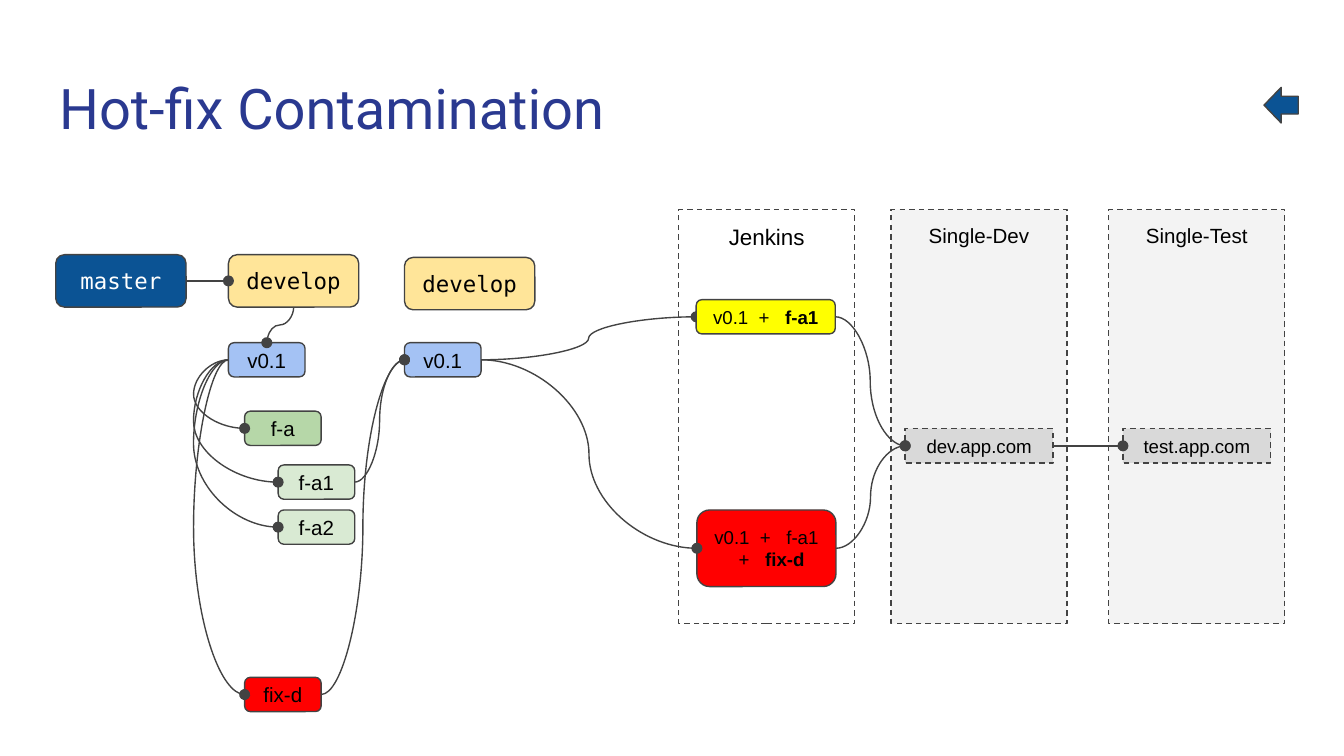
import pptx
import pptx.dml.color
import pptx.enum.dml
import pptx.enum.shapes
import pptx.enum.text
import pptx.oxml
import pptx.oxml.ns
import pptx.util

PX = 4572
INK = "434343"
NAVY = "0B5394"
SHAPE = pptx.enum.shapes.MSO_SHAPE
ALIGN = pptx.enum.text.PP_ALIGN
ANCHOR = pptx.enum.text.MSO_ANCHOR
TOP, LEFT, BOTTOM, RIGHT = range(4)


def px(*lengths):
    return [pptx.util.Emu(length * PX) for length in lengths]


def paint(color_format, color):
    color_format.rgb = pptx.dml.color.RGBColor.from_string(color)


def add_child(parent, tag, **attributes):
    child = pptx.oxml.parse_xml(f"<a:{tag} {pptx.oxml.ns.nsdecls('a')}/>")
    for name, value in attributes.items():
        child.set(name, value)
    parent.append(child)


def add_text(para, text, size=11, font="Arial", color="000000", bold=False, spacing=0):
    span = para.add_run()
    span.text = text
    span.font.size = pptx.util.Pt(size)
    span.font.name = font
    span.font.bold = bold
    paint(span.font.color, color)
    if spacing:
        span.font._element.set("spc", str(spacing))


def frame_text(frame, anchor):
    frame.word_wrap = True
    frame.auto_size = pptx.enum.text.MSO_AUTO_SIZE.NONE
    frame.vertical_anchor = anchor
    inset = px(20)[0]
    frame.margin_left = frame.margin_top = inset
    frame.margin_right = frame.margin_bottom = inset


def add_box(page, box, fill=None, kind=SHAPE.ROUNDED_RECTANGLE, dashed=False,
            anchor=ANCHOR.MIDDLE):
    shape = page.shapes.add_shape(kind, *px(*box))
    shape.shadow.inherit = False
    if fill:
        shape.fill.solid()
        paint(shape.fill.fore_color, fill)
    else:
        shape.fill.background()
    paint(shape.line.color, INK)
    shape.line.width = pptx.util.Pt(0.75)
    if dashed:
        shape.line.dash_style = pptx.enum.dml.MSO_LINE.DASH
    frame_text(shape.text_frame, anchor)
    shape.text_frame.paragraphs[0].alignment = ALIGN.CENTER
    return shape


def add_label_box(page, box, text, fill=None, size=11, font="Arial", color="000000", **style):
    shape = add_box(page, box, fill, **style)
    add_text(shape.text_frame.paragraphs[0], text, size=size, font=font, color=color)
    return shape


def add_branch(page, left, top, text, fill, color="000000"):
    return add_label_box(page, (left, top, 194, 78), text, fill, size=12,
                         font="DejaVu Sans Mono", color=color)


def add_version(page, left, top, text, fill):
    return add_label_box(page, (left, top, 114, 51), text, fill)


def join(page, source, target, start=RIGHT, end=LEFT, loop=0):
    curve = page.shapes.add_connector(pptx.enum.shapes.MSO_CONNECTOR.CURVE, 0, 0, 0, 0)
    curve.begin_connect(source, start)
    curve.end_connect(target, end)
    paint(curve.line.color, INK)
    curve.line.width = pptx.util.Pt(0.75)
    properties = curve._element.spPr
    add_child(curve.line._get_or_add_ln(), "tailEnd", type="oval")
    add_child(properties, "effectLst")
    if loop:
        values = properties.find(".//" + pptx.oxml.ns.qn("a:avLst"))
        ratio = round(-100000 * loop * PX / curve.width)
        add_child(values, "gd", name="adj1", fmla=f"val {ratio}")
    if start == BOTTOM:
        turn_down(curve)
    return curve


def turn_down(curve):
    center_x = curve.left + curve.width // 2
    center_y = curve.top + curve.height // 2
    width, height = curve.height, curve.width
    curve.left, curve.top = center_x - width // 2, center_y - height // 2
    curve.width, curve.height = width, height
    transform = curve._element.spPr.find(pptx.oxml.ns.qn("a:xfrm"))
    transform.attrib.pop("flipH", None)
    transform.set("rot", "5400000")


def draw_title(page, box, text):
    title = page.shapes.title
    title.left, title.top, title.width, title.height = px(*box)
    frame_text(title.text_frame, ANCHOR.TOP)
    para = title.text_frame.paragraphs[0]
    para.alignment = ALIGN.LEFT
    add_text(para, text, size=30, font="Roboto", color="2A3990")


def draw_branches(page, left, top):
    master = add_branch(page, left, top, "master", NAVY, color="FFFFFF")
    develop = add_branch(page, left + 257, top, "develop", "FFE599")
    version = add_version(page, left + 257, top + 131, "v0.1", "A4C2F4")
    join(page, master, develop)
    join(page, develop, version, start=BOTTOM, end=TOP)
    features = {}
    for text, x, y, fill in (
        ("f-a", 281, 233, "B6D7A8"),
        ("f-a1", 331, 313, "D9EAD3"),
        ("f-a2", 331, 380, "D9EAD3"),
        ("fix-d", 281, 629, "FF0000"),
    ):
        features[text] = add_version(page, left + x, top + y, text, fill)
        join(page, version, features[text], start=LEFT, loop=52)
    return features


def draw_merge(page, left, top, sources):
    version = add_version(page, left, top + 127, "v0.1", "A4C2F4")
    add_branch(page, left, top, "develop", "FFE599")
    for source in sources:
        join(page, source, version)
    return version


def draw_column(page, box, text, size=11, fill=None):
    add_label_box(page, box, text, fill, size=size, kind=SHAPE.RECTANGLE,
                  dashed=True, anchor=ANCHOR.TOP)


def draw_builds(page, box, version):
    left, top = box[:2]
    draw_column(page, box, "Jenkins", size=12)

    clean = add_box(page, (left + 26, top + 134, 207, 51), "FFFF00")
    para = clean.text_frame.paragraphs[0]
    add_text(para, "v0.1", size=10)
    add_text(para, " + ", size=10, spacing=280)
    add_text(para, "f-a1", size=10, bold=True)
    clean._element.addprevious(join(page, version, clean)._element)

    mixed = add_box(page, (left + 27, top + 447, 207, 114), "FF0000")
    para = mixed.text_frame.paragraphs[0]
    add_text(para, "v0.1", size=10)
    add_text(para, " + ", size=10, spacing=280)
    add_text(para, "f-a1", size=10)
    para.add_line_break()
    add_text(para, " + ", size=10, spacing=280)
    add_text(para, "fix-d", size=10, bold=True)
    join(page, version, mixed)
    return clean, mixed


def draw_environment(page, box, text, address, sources):
    left, top = box[:2]
    draw_column(page, box, text, fill="F3F3F3")
    host = add_label_box(page, (left + 21, top + 326, 220, 51), address, "D9D9D9",
                         size=10, kind=SHAPE.RECTANGLE, dashed=True)
    for source in sources:
        join(page, source, host)
    return host


def main():
    deck = pptx.Presentation()
    deck.slide_width, deck.slide_height = px(2000, 1125)
    page = deck.slides.add_slide(deck.slide_layouts[5])
    draw_title(page, (68, 90, 1864, 132), "Hot-fix Contamination")
    features = draw_branches(page, 83, 379)
    version = draw_merge(page, 602, 383, (features["f-a1"], features["fix-d"]))
    builds = draw_builds(page, (1010, 312, 262, 616), version)
    dev = draw_environment(page, (1326, 312, 262, 616), "Single-Dev", "dev.app.com", builds)
    draw_environment(page, (1650, 312, 262, 616), "Single-Test", "test.app.com", (dev,))
    add_box(page, (1881, 130, 51, 53), NAVY, kind=SHAPE.LEFT_ARROW)
    deck.save("out.pptx")


if __name__ == "__main__":
    main()
